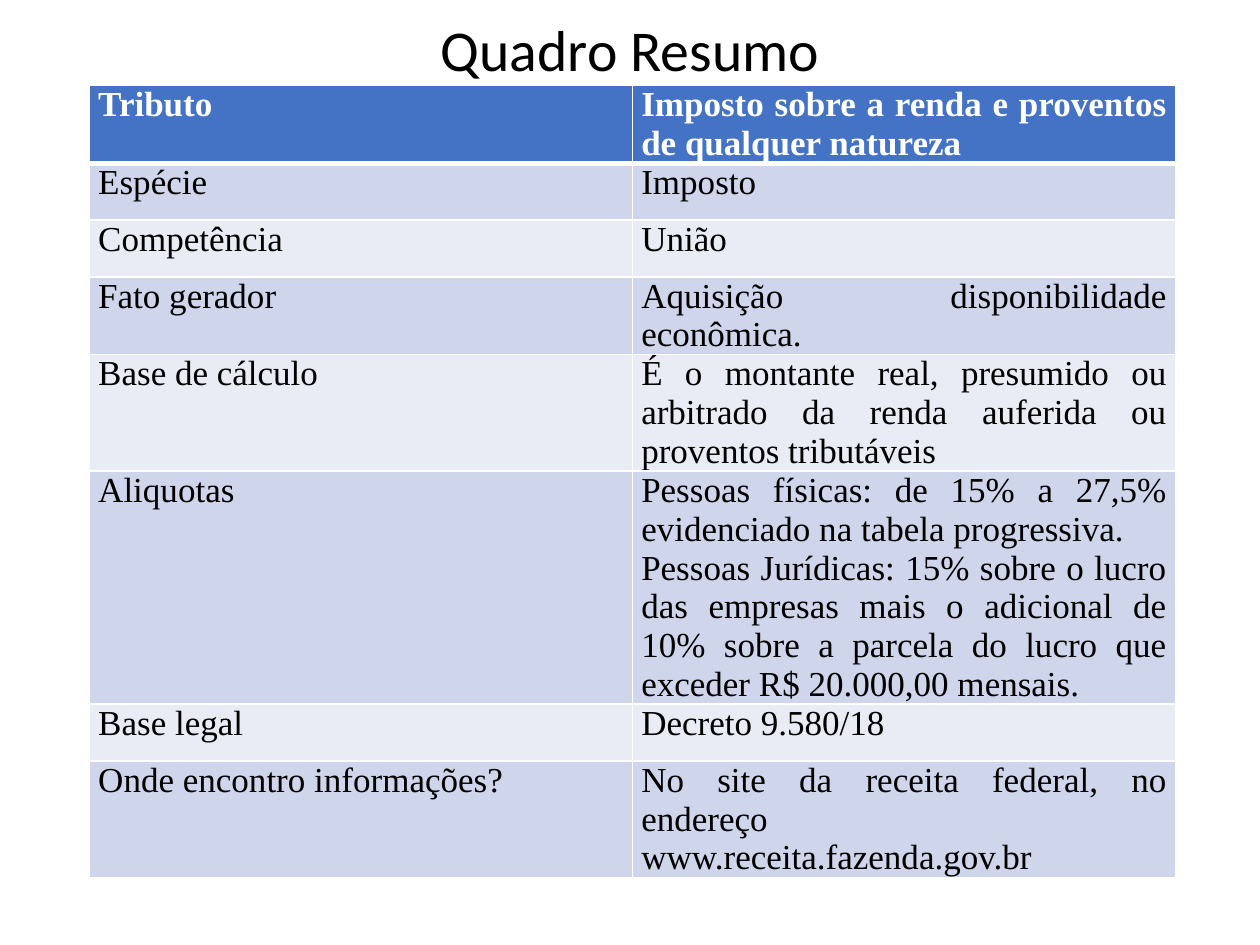
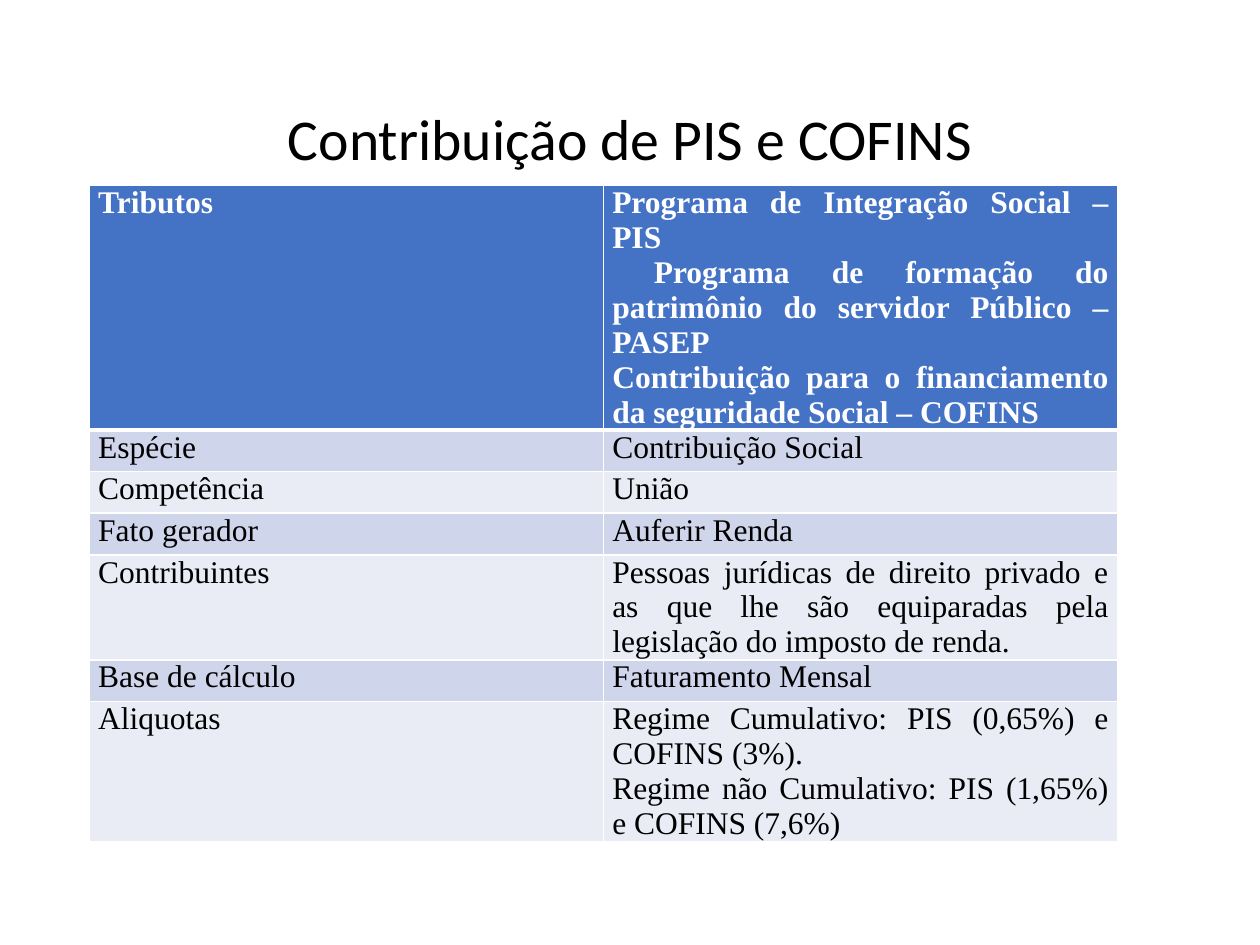
from dataclasses import dataclass

from lxml import etree
from pptx import Presentation
from pptx import util as u
from pptx.dml.color import RGBColor
from pptx.enum import text as t
from pptx.oxml import ns

SCALE = 9144  # EMU in one px, 100 px to the inch
BLACK, WHITE = "000000", "FFFFFF"
HEAD, BANDS = "4472C4", ("CFD5EA", "E9EBF5")
SANS, SERIF = "Calibri", "Times New Roman"
LEFT, WIDE = 69, 862
INSET = 7
PITCH = 1.11  # line height of the table text, relative to its size


@dataclass
class Line:
    text: str
    indent: int = 0


@dataclass
class Row:
    label: str
    lines: list[Line]
    high: int


@dataclass
class Page:
    title: str
    title_top: int
    title_high: int
    top: int
    column: int
    size: int
    rows: list[Row]


def px(n: int) -> u.Emu:
    return u.Emu(n * SCALE)


def color(code: str) -> RGBColor:
    return RGBColor.from_string(code)


def row(label: str, *lines: str | Line, high: int) -> Row:
    return Row(label, [x if isinstance(x, Line) else Line(x) for x in lines], high)


def put(frame, lines: list[Line], *, font: str, size: int, space: float | u.Length,
        ink: str = BLACK, bold: bool = False, align=t.PP_ALIGN.JUSTIFY) -> None:
    """Fill a text frame with one paragraph for each line."""
    frame.word_wrap = True
    for i, line in enumerate(lines):
        para = frame.paragraphs[0] if i == 0 else frame.add_paragraph()
        para.alignment = align
        para.line_spacing = space
        if line.indent:
            para._p.get_or_add_pPr().set("indent", str(px(line.indent)))
        run = para.add_run()
        run.text = line.text
        run.font.name, run.font.size = font, u.Pt(size)
        run.font.bold = bold
        run.font.color.rgb = color(ink)


def edge(cell, widths: dict[str, int]) -> None:
    """Give a cell white borders, with widths in points by side."""
    props = cell._tc.get_or_add_tcPr()
    for i, (side, width) in enumerate(widths.items()):
        line = etree.Element(ns.qn(f"a:ln{side}"), w=str(u.Pt(width)))
        fill = etree.SubElement(line, ns.qn("a:solidFill"))
        etree.SubElement(fill, ns.qn("a:srgbClr"), val=WHITE)
        props.insert(i, line)


def draw_title(slide, page: Page) -> None:
    box = slide.shapes.add_textbox(px(LEFT), px(page.title_top), px(WIDE), px(page.title_high))
    box.text_frame.vertical_anchor = t.MSO_ANCHOR.MIDDLE
    put(box.text_frame, [Line(page.title)], font=SANS, size=33, space=0.9,
        align=t.PP_ALIGN.CENTER)


def draw_table(slide, page: Page) -> None:
    high = sum(r.high for r in page.rows)
    table = slide.shapes.add_table(len(page.rows), 2, px(LEFT + 2), px(page.top),
                                   px(2 * page.column), px(high)).table
    table.horz_banding = False
    for i, item in enumerate(page.rows):
        table.rows[i].height = px(item.high)
        head = i == 0
        widths = {"L": 1, "R": 1, "T": 3 if i == 1 else 1, "B": 3 if head else 1}
        for j, lines in enumerate(([Line(item.label)], item.lines)):
            cell = table.cell(i, j)
            cell.margin_left = cell.margin_right = px(INSET)
            cell.margin_top = cell.margin_bottom = 0
            cell.fill.solid()
            cell.fill.fore_color.rgb = color(HEAD if head else BANDS[(i - 1) % 2])
            edge(cell, widths)
            put(cell.text_frame, lines, font=SERIF, size=page.size,
                space=u.Pt(page.size * PITCH), ink=WHITE if head else BLACK, bold=head)


PAGES = [
    Page("Quadro Resumo", 0, 84, 68, 431, 20, [
        row("Tributo", "Imposto sobre a renda e proventos de qualquer natureza", high=47),
        row("Espécie", "Imposto", high=45),
        row("Competência", "União", high=45),
        row("Fato gerador", "Aquisição disponibilidade econômica.", high=45),
        row("Base de cálculo",
            "É o montante real, presumido ou arbitrado da renda auferida ou "
            "proventos tributáveis", high=47),
        row("Aliquotas",
            "Pessoas físicas: de 15% a 27,5% evidenciado na tabela progressiva.",
            "Pessoas Jurídicas: 15% sobre o lucro das empresas mais o adicional de "
            "10% sobre a parcela do lucro que exceder R$ 20.000,00 mensais.", high=142),
        row("Base legal", "Decreto 9.580/18", high=45),
        row("Onde encontro informações?",
            "No site da receita federal, no endereço www.receita.fazenda.gov.br", high=47),
    ]),
    Page("Contribuição de PIS e COFINS", 40, 145, 147, 408, 18, [
        row("Tributos",
            "Programa de Integração Social – PIS",
            Line("Programa de formação do patrimônio do servidor Público – PASEP", 33),
            "Contribuição para o financiamento da seguridade Social – COFINS", high=33),
        row("Espécie", "Contribuição Social", high=33),
        row("Competência", "União", high=33),
        row("Fato gerador", "Auferir Renda", high=33),
        row("Contribuintes",
            "Pessoas jurídicas de direito privado e as que lhe são equiparadas pela "
            "legislação do imposto de renda.", high=33),
        row("Base de cálculo", "Faturamento Mensal", high=33),
        row("Aliquotas",
            "Regime Cumulativo: PIS (0,65%) e COFINS (3%).",
            "Regime não Cumulativo: PIS (1,65%) e COFINS (7,6%)", high=33),
    ]),
]


def main() -> None:
    deck = Presentation()
    deck.slide_width, deck.slide_height = px(1000), px(750)
    for page in PAGES:
        slide = deck.slides.add_slide(deck.slide_layouts[6])
        draw_title(slide, page)
        draw_table(slide, page)
    deck.save("out.pptx")


if __name__ == "__main__":
    main()
